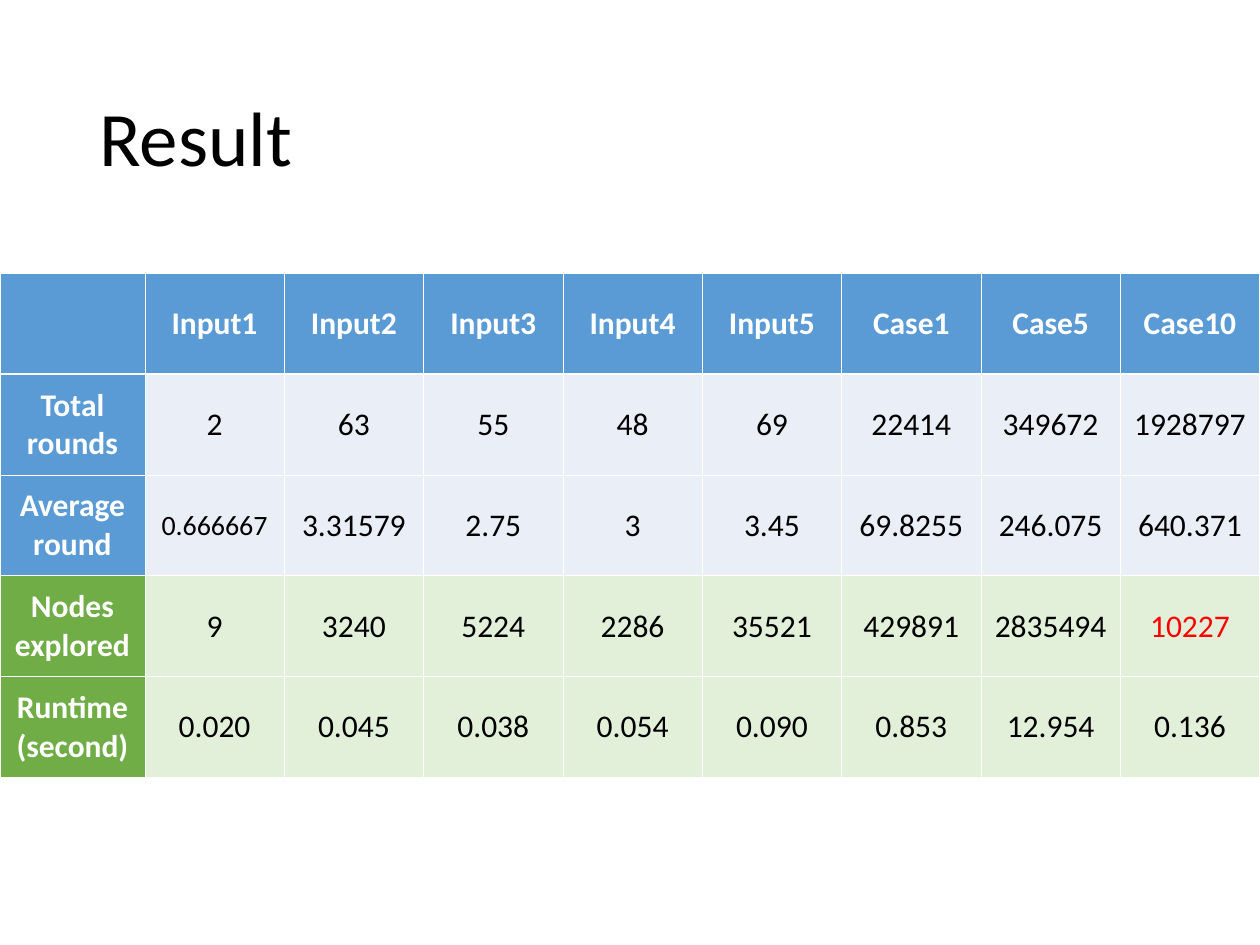
from lxml import etree
from pptx import Presentation
from pptx.dml.color import RGBColor
from pptx.enum.text import MSO_ANCHOR, PP_ALIGN
from pptx.oxml.ns import qn
from pptx.util import Inches, Pt

MIDDLE = MSO_ANCHOR.MIDDLE
LEFT, CENTER = PP_ALIGN.LEFT, PP_ALIGN.CENTER
BLACK = RGBColor(0x00, 0x00, 0x00)
WHITE = RGBColor(0xFF, 0xFF, 0xFF)
RED = RGBColor(0xFF, 0x00, 0x00)
BLUE = RGBColor(0x5B, 0x9B, 0xD5)
PALE_BLUE = RGBColor(0xEA, 0xEF, 0xF7)
GREEN = RGBColor(0x70, 0xAD, 0x47)
PALE_GREEN = RGBColor(0xE2, 0xF0, 0xD9)

RESULTS = [
    ["", "Input1", "Input2", "Input3", "Input4", "Input5", "Case1", "Case5", "Case10"],
    ["Total rounds", "2", "63", "55", "48", "69", "22414", "349672", "1928797"],
    ["Average round", "0.666667", "3.31579", "2.75", "3", "3.45", "69.8255", "246.075", "640.371"],
    ["Nodes explored", "9", "3240", "5224", "2286", "35521", "429891", "2835494", "10227"],
    ["Runtime\n(second)", "0.020", "0.045", "0.038", "0.054", "0.090", "0.853", "12.954", "0.136"],
]
ROW_FILLS = [(BLUE, BLUE), (BLUE, PALE_BLUE), (BLUE, PALE_BLUE),
             (GREEN, PALE_GREEN), (GREEN, PALE_GREEN)]
SPECIAL_SIZES = {(2, 1): 16}
SPECIAL_COLORS = {(3, 8): RED}


class Deck:
    """Holds the style and the current slide."""

    font = "Calibri"
    thin, thick = 0.45, 1.47

    def __init__(self, prs):
        self.s = prs.slides.add_slide(prs.slide_layouts[6])

    def add_text(self, tf, text, size, color, bold=False, align=LEFT):
        for i, line in enumerate(text.split("\n")):
            p = tf.paragraphs[0] if i == 0 else tf.add_paragraph()
            p.alignment = align
            p.font.size = Pt(size)
            if line:
                r = p.add_run()
                r.text = line
                r.font.name, r.font.size, r.font.bold = self.font, Pt(size), bold
                r.font.color.rgb = color

    def title(self, text, x, y, w, h):
        tf = self.s.shapes.add_textbox(Inches(x), Inches(y), Inches(w), Inches(h)).text_frame
        tf.word_wrap = True
        tf.vertical_anchor = MIDDLE
        self.add_text(tf, text, 44, BLACK)
        tf.paragraphs[0].line_spacing = 0.9

    def border(self, cell, side, width):
        tc_pr = cell._tc.get_or_add_tcPr()
        ln = etree.SubElement(tc_pr, qn(f"a:ln{side}"), w=str(int(Pt(width))))
        fill = etree.SubElement(ln, qn("a:solidFill"))
        etree.SubElement(fill, qn("a:srgbClr"), val=str(WHITE))

    def table(self, rows, x, y, w, h, label_w):
        n_cols = len(rows[0])
        table = self.s.shapes.add_table(
            len(rows), n_cols, Inches(x), Inches(y), Inches(w), Inches(h)).table
        for i, column in enumerate(table.columns):
            column.width = Inches(label_w if i == 0 else (w - label_w) / (n_cols - 1))
        for i, row in enumerate(rows):
            for j, text in enumerate(row):
                cell = table.cell(i, j)
                heading = i == 0 or j == 0
                cell.vertical_anchor = MIDDLE
                color = WHITE if heading else SPECIAL_COLORS.get((i, j), BLACK)
                self.add_text(cell.text_frame, text, SPECIAL_SIZES.get((i, j), 18),
                              color, heading, CENTER)
                for side in "LRTB":
                    under_header = (i, side) in ((0, "B"), (1, "T"))
                    self.border(cell, side, self.thick if under_header else self.thin)
                cell.fill.solid()
                cell.fill.fore_color.rgb = ROW_FILLS[i][min(j, 1)]


def main():
    prs = Presentation()
    prs.slide_width, prs.slide_height = Inches(10), Inches(7.5)
    deck = Deck(prs)
    deck.title("Result", 0.69, 0.4, 8.63, 1.45)
    deck.table(RESULTS, 0, 2.17, 10, 4, 1.15)
    prs.save("out.pptx")


if __name__ == "__main__":
    main()
